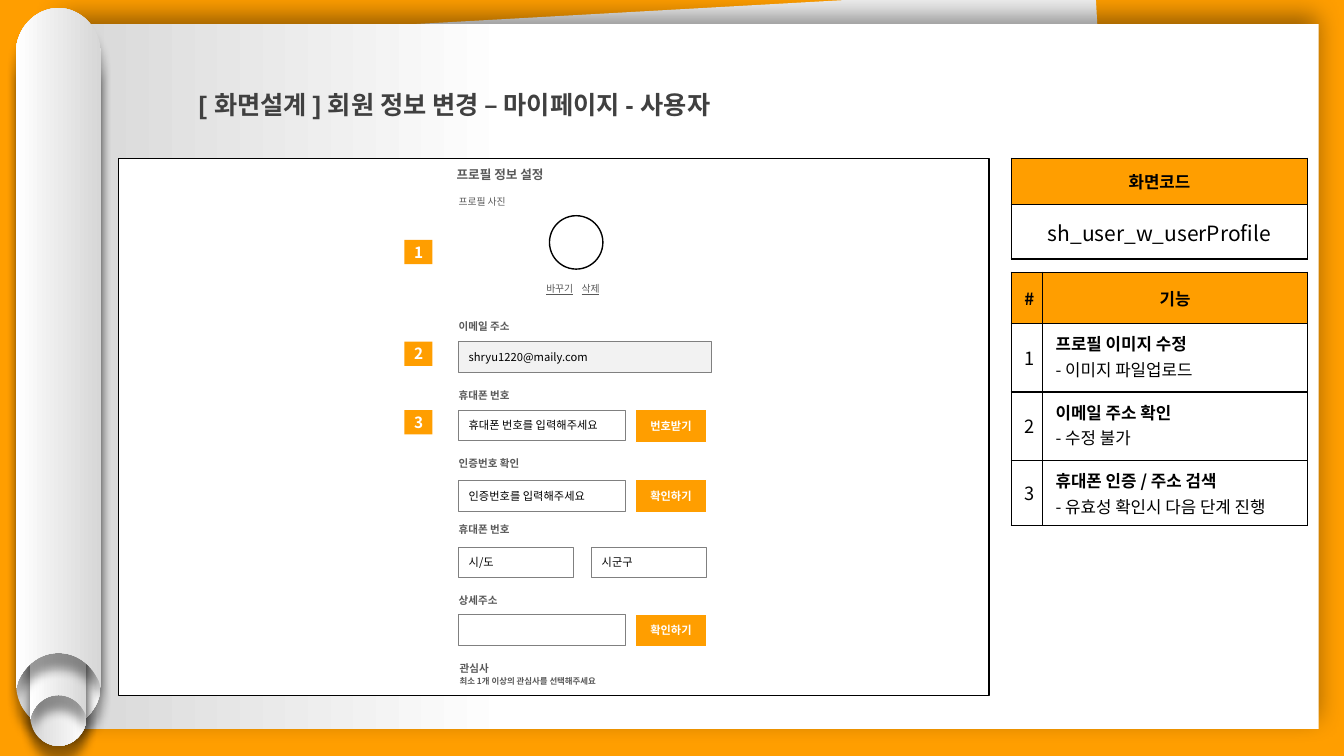
import pptx
import pptx.dml.color
import pptx.enum.shapes
import pptx.enum.text
import pptx.oxml
import pptx.oxml.ns
import pptx.util
from lxml import etree

Inches, Pt = pptx.util.Inches, pptx.util.Pt
SHAPE = pptx.enum.shapes.MSO_SHAPE
ALIGN = pptx.enum.text.PP_ALIGN
MIDDLE = pptx.enum.text.MSO_ANCHOR.MIDDLE
qn = pptx.oxml.ns.qn

FONT = "Noto Sans CJK KR"
ORANGE, WHITE, BLACK = "FF9E00", "FFFFFF", "000000"
PALE, SHADE, GREY, DARK = "F2F2F2", "D7D7D7", "595959", "404040"
BORDER = "808080"


def color(hex_code):
    return pptx.dml.color.RGBColor.from_string(hex_code)


def style(paragraph, size, hex_code=BLACK, bold=False, align=ALIGN.LEFT, name=FONT):
    paragraph.alignment = align
    font = paragraph.font
    font.size, font.bold, font.name = Pt(size), bold, name
    font.color.rgb = color(hex_code)
    defaults = paragraph._p.pPr.find(qn("a:defRPr"))
    etree.SubElement(defaults, qn("a:ea")).set("typeface", FONT)


def paint(shape, fill, line=None, width=1):
    shape.shadow.inherit = False
    shape.fill.solid()
    shape.fill.fore_color.rgb = color(fill)
    if line:
        shape.line.color.rgb = color(line)
        shape.line.width = Pt(width)
    else:
        shape.line.fill.background()


def add_box(slide, box, fill, line=None, width=1, kind=SHAPE.RECTANGLE):
    shape = slide.shapes.add_shape(kind, *map(Inches, box))
    paint(shape, fill, line, width)
    return shape


def add_text_box(slide, box, text, size, text_color, fill, line=None, width=1,
                 bold=False, align=ALIGN.LEFT):
    """Add a filled rectangle holding one line of text."""
    shape = add_box(slide, box, fill, line, width)
    shape.text_frame.vertical_anchor = MIDDLE
    paragraph = shape.text_frame.paragraphs[0]
    paragraph.text = text
    style(paragraph, size, text_color, bold, align)
    return shape


def add_gradient(shape, stops):
    shape.line.fill.background()
    shape.fill.gradient()
    shape.fill.gradient_angle = 180
    for stop, (position, hex_code) in zip(shape.fill.gradient_stops, stops):
        stop.position = position
        stop.color.rgb = color(hex_code)


def add_shadow(shape, blur, distance, angle):
    shape.shadow.inherit = False
    effects = shape._element.spPr.find(qn("a:effectLst"))
    shadow = etree.SubElement(effects, qn("a:outerShdw"), blurRad=str(Pt(blur)),
                              dist=str(Pt(distance)), dir=str(angle * 60000),
                              algn="ctr", rotWithShape="0")
    shade = etree.SubElement(shadow, qn("a:srgbClr"), val=BLACK)
    etree.SubElement(shade, qn("a:alpha"), val="40000")


def bend_segments(freeform, starts):
    """Turn each three line segments beginning at the given indexes into one curve."""
    segments = list(freeform._element.iter(qn("a:lnTo")))
    for start in starts:
        first, *others = segments[start:start + 3]
        curve = etree.Element(qn("a:cubicBezTo"))
        first.addprevious(curve)
        for segment in (first, *others):
            curve.append(segment[0])
            segment.getparent().remove(segment)


def add_roll(slide, left, top, width, height, rotation):
    """Add a paper roll: round at the top, with a hollow of the same kind below."""
    end = height / width
    right_half = [(0.77, 0), (1, 0.24), (1, 0.52), (1, end), (0.98, end - 0.08),
                  (0.89, end - 0.29), (0.71, end - 0.42)]
    left_half = [(1 - x, y) for x, y in reversed(right_half)]
    outline = [(0.5, 0), *right_half, (0.5, end - 0.42), *left_half, (0.5, 0)]
    points = [(Inches(left + x * width), Inches(top + y * width)) for x, y in outline]
    builder = slide.shapes.build_freeform(*points[0])
    builder.add_line_segments(points[1:])
    roll = builder.convert_to_shape()
    bend_segments(roll, (0, 5, 8, 13))
    roll.rotation = rotation
    add_gradient(roll, [(0, SHADE), (1, WHITE)])
    add_shadow(roll, 7, 11, 90)


def add_paper(slide):
    add_box(slide, (0.91, 0.14, 10.15, 6.8), PALE).rotation = 356.8
    sheet = add_box(slide, (0.58, 0.24, 12.5, 6.99), WHITE)
    add_gradient(sheet, [(0.64, WHITE), (1, SHADE)])
    add_shadow(sheet, 18, 6, 270)
    outer, inner = (0.84, 6.75), (0.56, 4.52)
    add_roll(slide, 0.16, 0.48, *outer, 180)
    add_roll(slide, 0.3, 2.88, *inner, 180)
    add_roll(slide, 0.3, 2.61, *inner, 0)
    add_roll(slide, 0.16, 0.08, *outer, 0)


def add_title(slide, box, text):
    title = slide.shapes.add_textbox(*map(Inches, box))
    frame = title.text_frame
    frame.word_wrap = True
    frame.auto_size = pptx.enum.text.MSO_AUTO_SIZE.SHAPE_TO_FIT_TEXT
    frame.margin_left = frame.margin_right = Inches(0.07)
    frame.margin_top = frame.margin_bottom = Inches(0.04)
    paragraph = frame.paragraphs[0]
    paragraph.text = text
    paragraph.line_spacing = 1.5
    style(paragraph, 18, DARK, True, name="Arial")


def add_borders(cell):
    properties = cell._tc.get_or_add_tcPr()
    for index, side in enumerate(("lnL", "lnR", "lnT", "lnB")):
        line = etree.Element(qn("a:" + side), w=str(Pt(1)))
        fill = etree.SubElement(line, qn("a:solidFill"))
        etree.SubElement(fill, qn("a:srgbClr"), val=BLACK)
        properties.insert(index, line)


def add_grid(slide, left, top, widths, heights, rows, plain_size, spacing=None):
    """Add a table whose first row is a header; two-line cells are left aligned."""
    table = slide.shapes.add_table(
        len(heights), len(widths), Inches(left), Inches(top),
        Inches(sum(widths)), Inches(sum(heights))).table
    for column, width in zip(table.columns, widths):
        column.width = Inches(width)
    for row_index, (row, height) in enumerate(zip(rows, heights)):
        table.rows[row_index].height = Inches(height)
        for column_index, text in enumerate(row):
            cell = table.cell(row_index, column_index)
            header, detail = row_index == 0, "\n" in text
            cell.margin_left = cell.margin_right = Inches(0.13)
            cell.margin_top = cell.margin_bottom = Inches(0.07)
            if header:
                cell.fill.solid()
                cell.fill.fore_color.rgb = color(ORANGE)
            else:
                cell.fill.background()
            add_borders(cell)
            if not detail:
                cell.vertical_anchor = MIDDLE
            cell.text_frame.text = text
            for line_index, paragraph in enumerate(cell.text_frame.paragraphs):
                if spacing:
                    paragraph.line_spacing = Pt(spacing)
                style(paragraph, 12 if header or detail else plain_size,
                      bold=header or (detail and line_index == 0),
                      align=ALIGN.LEFT if detail else ALIGN.CENTER)


def add_photo_links(slide, box):
    links = add_text_box(slide, box, "", 7, GREY, WHITE, WHITE)
    paragraph = links.text_frame.paragraphs[0]
    tabs = etree.Element(qn("a:tabLst"))
    etree.SubElement(tabs, qn("a:tab"), pos=str(Inches(0.35)), algn="l")
    paragraph._p.pPr.insert(0, tabs)
    for text, underline in (("바꾸기", True), ("\t", False), ("삭제", True)):
        run = paragraph.add_run()
        run.text = text
        run.font.underline = underline


def add_form(slide, left, top):
    """Add the profile form inside its white screen."""
    add_box(slide, (left, top, 8.63, 5.33), WHITE, BLACK, 0.75)
    field_left = left + 3.37
    add_box(slide, (left + 4.27, top + 0.57, 0.53, 0.53), WHITE, BLACK,
            kind=SHAPE.OVAL)
    tall, flat = (0.78, 0.15), (0.87, 0.11)
    for text, x, y, area, size in (
            ("프로필 사진", 3.27, 0.35, tall, 7),
            ("프로필 정보 설정", 3.25, 0.09, (1.18, 0.15), 9),
            ("이메일 주소", 3.27, 1.59, tall, 7.5), ("휴대폰 번호", 3.27, 2.28, tall, 7.5),
            ("인증번호 확인", 3.27, 2.97, flat, 7.5), ("휴대폰 번호", 3.27, 3.61, tall, 7.5),
            ("상세주소", 3.27, 4.33, flat, 7.5), ("관심사", 3.28, 5, flat, 7.5),
            ("최소 1개 이상의 관심사를 선택해주세요", 3.28, 5.13, (2.2, 0.11), 6)):
        add_text_box(slide, (left + x, top + y, *area), text, size,
                     GREY, WHITE, WHITE, bold=size != 7)
    add_photo_links(slide, (left + 4.14, top + 1.22, 0.96, 0.15))
    for text, x, y, width, fill in (
            ("shryu1220@maily.com", 0, 1.82, 2.51, PALE),
            ("휴대폰 번호를 입력해주세요", 0, 2.5, 1.65, WHITE),
            ("인증번호를 입력해주세요", 0, 3.2, 1.65, WHITE),
            ("시/도", 0, 3.86, 1.14, WHITE), ("시군구", 1.32, 3.86, 1.14, WHITE)):
        add_text_box(slide, (field_left + x, top + y, width, 0.3), text, 8,
                     BLACK, fill, BORDER, 0.5)
    add_box(slide, (field_left, top + 4.53, 1.65, 0.3), WHITE, BORDER, 0.5)
    for text, y in (("번호받기", 2.49), ("확인하기", 3.19), ("확인하기", 4.52)):
        add_text_box(slide, (field_left + 1.75, top + y, 0.71, 0.33), text, 8,
                     WHITE, ORANGE, WHITE, bold=True, align=ALIGN.CENTER)
    for number, y in enumerate((0.81, 1.82, 2.5), 1):
        add_text_box(slide, (left + 2.83, top + y, 0.28, 0.24), str(number), 11,
                     WHITE, ORANGE, bold=True, align=ALIGN.CENTER)


def main():
    presentation = pptx.Presentation()
    presentation.slide_width, presentation.slide_height = Inches(13.33), Inches(7.5)
    slide = presentation.slides.add_slide(presentation.slide_layouts[6])
    slide.background.fill.solid()
    slide.background.fill.fore_color.rgb = color(ORANGE)
    add_paper(slide)
    add_grid(slide, 10.03, 1.57, [2.94], [0.46, 0.54],
             [["화면코드"], ["sh_user_w_userProfile"]], 15)
    add_form(slide, 1.18, 1.57)
    add_grid(slide, 10.03, 2.7, [0.31, 2.63], [0.51, 0.68, 0.68, 0.34],
             [["#", "기능"],
              ["1", "프로필 이미지 수정\n- 이미지 파일업로드"],
              ["2", "이메일 주소 확인\n- 수정 불가"],
              ["3", "휴대폰 인증 / 주소 검색\n- 유효성 확인시 다음 단계 진행"]], 13, 18)
    add_title(slide, (1.9, 0.7, 7.21, 0.53),
              "[ 화면설계 ] 회원 정보 변경 – 마이페이지 - 사용자")
    presentation.save("out.pptx")


if __name__ == "__main__":
    main()
